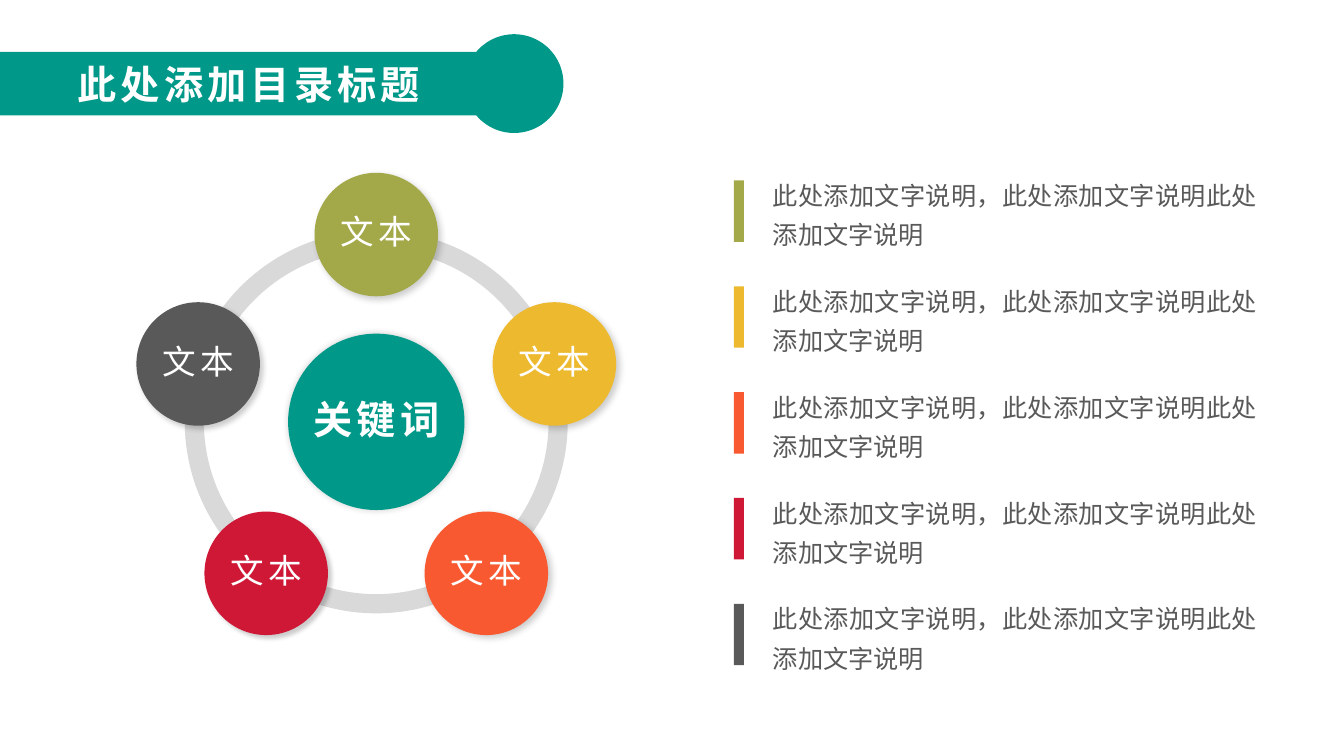
"""Build a slide with a five-node ring diagram and its colour-keyed descriptions."""
import math
from dataclasses import dataclass

from lxml import etree
from pptx import Presentation
from pptx.dml.color import RGBColor
from pptx.enum.shapes import MSO_SHAPE
from pptx.enum.text import MSO_AUTO_SIZE, PP_ALIGN
from pptx.oxml.ns import qn
from pptx.util import Emu, Inches, Pt

OVAL, RECT, BLOCK_ARC = MSO_SHAPE.OVAL, MSO_SHAPE.RECTANGLE, MSO_SHAPE.BLOCK_ARC
LEFT, CENTER, JUSTIFY = PP_ALIGN.LEFT, PP_ALIGN.CENTER, PP_ALIGN.JUSTIFY
NO_AUTOSIZE = MSO_AUTO_SIZE.NONE

TEAL = RGBColor(0x00, 0x99, 0x89)
OLIVE = RGBColor(0xA3, 0xA9, 0x48)
YELLOW = RGBColor(0xED, 0xB9, 0x2E)
ORANGE = RGBColor(0xF8, 0x59, 0x31)
RED = RGBColor(0xCE, 0x18, 0x36)
GRAY = RGBColor(0x59, 0x59, 0x59)
RING_GRAY = RGBColor(0xD9, 0xD9, 0xD9)
WHITE = RGBColor(0xFF, 0xFF, 0xFF)

FONT = "Noto Sans CJK SC"
DESCRIPTION = "此处添加文字说明，此处添加文字说明此处添加文字说明"
CELL = Inches(0.1)
COLS, ROWS = 133.33, 75
HUB_COL, HUB_ROW = 37.33, 41.85
RING_SIZE, RING_WIDTH = 38, 0.05
HUB_SIZE, NODE_SIZE, ORBIT = 17.5, 12.25, 18.58
LIST_ROW, LIST_PITCH = 16.5, 10.5
KNOB_COL, KNOB_ROW, KNOB_RADIUS, NECK_ANGLE = 51, 8.3, 4.9, 140


@dataclass(frozen=True)
class Box:
    """A rectangle in grid columns and rows."""
    col: float
    row: float
    width: float
    height: float

    def emu(self) -> tuple[Emu, ...]:
        """Return left, top, width and height as lengths."""
        return tuple(cells(v) for v in (self.col, self.row, self.width, self.height))


@dataclass(frozen=True)
class TextStyle:
    """The look of a text box."""
    size: float
    color: RGBColor = WHITE
    bold: bool = False
    align: PP_ALIGN = CENTER
    spacing: float = 0.9
    tracking: float = 3
    wrap: bool = False


@dataclass(frozen=True)
class Node:
    """A ring node with its colour and shadow blur in points."""
    label: str
    color: RGBColor
    blur: float


NODES = (
    Node("文本", OLIVE, 5),
    Node("文本", YELLOW, 5),
    Node("文本", ORANGE, 5),
    Node("文本", RED, 3),
    Node("文本", GRAY, 4),
)
TITLE_STYLE = TextStyle(28, bold=True, align=LEFT, spacing=1, wrap=True)
HUB_STYLE = TextStyle(28, bold=True)
NODE_STYLE = TextStyle(24)
BODY_STYLE = TextStyle(18, GRAY, align=JUSTIFY, spacing=1.3, tracking=0, wrap=True)


def cells(count: float) -> Emu:
    """Convert a number of grid cells to a length."""
    return Emu(round(count * CELL))


def centered(col: float, row: float, width: float, height: float) -> Box:
    """Return a box around a centre point."""
    return Box(col - width / 2, row - height / 2, width, height)


def paint(s, color: RGBColor) -> None:
    """Give a shape a plain fill without line or shadow."""
    s.shadow.inherit = False
    s.fill.solid()
    s.fill.fore_color.rgb = color
    s.line.fill.background()


def add_block(shapes, kind: MSO_SHAPE, box: Box, color: RGBColor):
    """Add a plain preset shape."""
    s = shapes.add_shape(kind, *box.emu())
    paint(s, color)
    return s


def add_shadow(s, blur: float, distance: float, angle: float) -> None:
    """Add a soft black outer shadow."""
    effects = s._element.spPr.find(qn("a:effectLst"))
    shadow = etree.SubElement(effects, qn("a:outerShdw"), blurRad=str(Pt(blur)),
                              dist=str(Pt(distance)), dir=str(angle * 60000))
    black = etree.SubElement(shadow, qn("a:srgbClr"), val="000000")
    etree.SubElement(black, qn("a:alpha"), val="20000")


def add_text(shapes, box: Box, text: str, style: TextStyle) -> None:
    """Add a one-paragraph text box."""
    tf = shapes.add_textbox(*box.emu()).text_frame
    tf.auto_size = NO_AUTOSIZE
    tf.word_wrap = style.wrap
    tf.text = text
    p = tf.paragraphs[0]
    p.alignment = style.align
    p.line_spacing = style.spacing
    r = p.runs[0]
    r.font.name = FONT
    r.font.size = Pt(style.size)
    r.font.bold = style.bold
    r.font.color.rgb = style.color
    if style.tracking:
        r.font._element.set("spc", str(round(style.tracking * 100)))


def add_banner(shapes) -> None:
    """Add the title bar that ends in a round knob."""
    arc = [
        (cells(KNOB_COL + KNOB_RADIUS * math.cos(math.radians(angle))),
         cells(KNOB_ROW + KNOB_RADIUS * math.sin(math.radians(angle))))
        for angle in range(-NECK_ANGLE, NECK_ANGLE + 1, 4)
    ]
    builder = shapes.build_freeform(0, arc[0][1])
    builder.add_line_segments([*arc, (0, arc[-1][1])], close=True)
    paint(builder.convert_to_shape(), TEAL)
    add_text(shapes, Box(6.7, 5.5, 39.3, 5.7), "此处添加目录标题", TITLE_STYLE)


def add_ring(shapes) -> None:
    """Add the ring of arcs, the hub and the nodes."""
    step = 360 / len(NODES)
    for i in range(len(NODES)):
        start = (270 + i * step) % 360
        s = add_block(shapes, BLOCK_ARC, centered(HUB_COL, HUB_ROW, RING_SIZE, RING_SIZE), RING_GRAY)
        for k, value in enumerate((start * 0.6, (start + step) % 360 * 0.6, RING_WIDTH)):
            s.adjustments[k] = value
    hub = add_block(shapes, OVAL, centered(HUB_COL, HUB_ROW, HUB_SIZE, HUB_SIZE), TEAL)
    add_shadow(hub, 5, 0, 0)
    add_text(shapes, centered(HUB_COL, HUB_ROW, 15.1, 5.2), "关键词", HUB_STYLE)
    for i, node in enumerate(NODES):
        angle = math.radians(i * step - 90)
        col = HUB_COL + ORBIT * math.cos(angle)
        row = HUB_ROW + ORBIT * math.sin(angle)
        s = add_block(shapes, OVAL, centered(col, row, NODE_SIZE, NODE_SIZE), node.color)
        add_shadow(s, node.blur, 3, 45)
        add_text(shapes, centered(col, row, 9.6, 4.7), node.label, NODE_STYLE)


def add_descriptions(shapes) -> None:
    """Add one colour bar and description per node."""
    for i, node in enumerate(NODES):
        row = LIST_ROW + i * LIST_PITCH
        add_block(shapes, RECT, Box(72.8, row + 1.4, 1, 6.1), node.color)
        add_text(shapes, Box(75.7, row, 50, 8.9), DESCRIPTION, BODY_STYLE)


def main() -> None:
    """Build and save the slide."""
    prs = Presentation()
    prs.slide_width, prs.slide_height = cells(COLS), cells(ROWS)
    shapes = prs.slides.add_slide(prs.slide_layouts[6]).shapes
    add_banner(shapes)
    add_ring(shapes)
    add_descriptions(shapes)
    prs.save("out.pptx")


if __name__ == "__main__":
    main()
